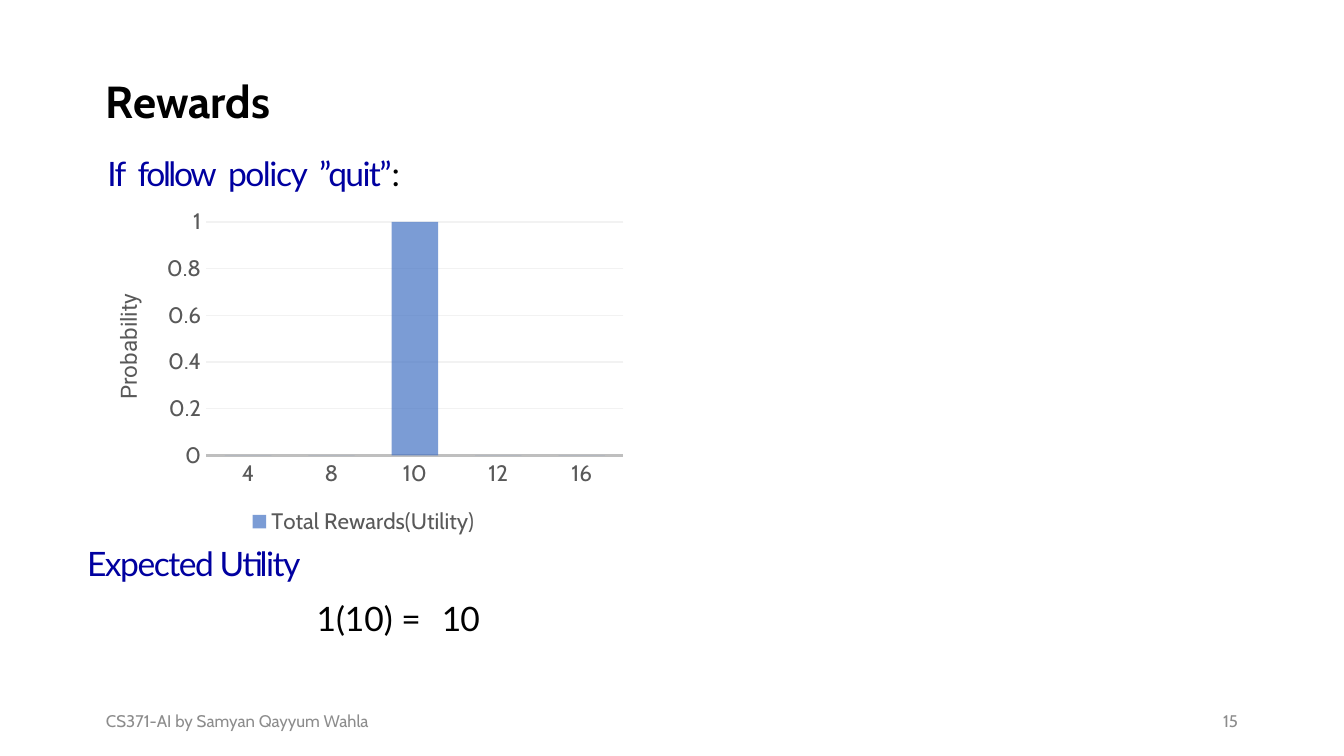
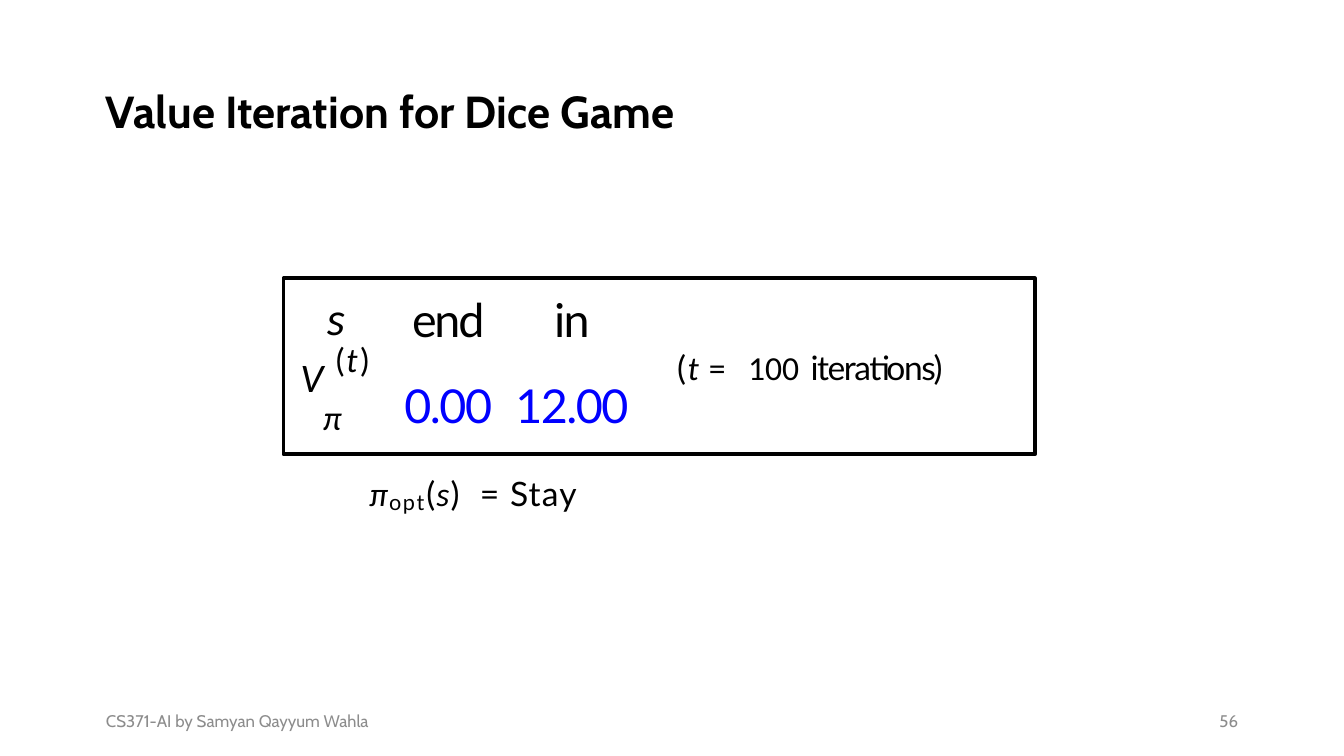
from lxml import etree
from pptx import Presentation
from pptx import util as u
from pptx.chart.data import CategoryChartData
from pptx.dml.color import RGBColor
from pptx.enum import chart as ch, text
from pptx.oxml import ns

BLACK = RGBColor(0, 0, 0)
NAVY = RGBColor(0, 0, 0xA0)
BLUE = RGBColor(0, 0, 0xFF)
GREY = RGBColor(0x8C, 0x8C, 0x8C)
LABEL = RGBColor(0x59, 0x59, 0x59)
AXIS = RGBColor(0xBF, 0xBF, 0xBF)
GRID = RGBColor(0xF2, 0xF2, 0xF2)
BAR = RGBColor(0x44, 0x72, 0xC4)
PLAIN = "{2D5ABB26-0587-4C30-8999-92F81FD0307C}"
LEFT, MID, RIGHT = text.PP_ALIGN.LEFT, text.PP_ALIGN.CENTER, text.PP_ALIGN.RIGHT
In = u.Inches


def write(para, runs, size, font="Lato", color=BLACK, align=LEFT, indent=0):
    para.alignment = align
    props = para._p.get_or_add_pPr()
    props.set("marL", str(In(indent)))
    props.set("indent", "0")
    for words, style in runs:
        run = para.add_run()
        run.text = words
        run.font.name = style.get("font", font)
        run.font.size = u.Pt(style.get("size", size))
        run.font.color.rgb = style.get("color", color)
        run.font.bold = style.get("bold", False)
        run.font.italic = style.get("italic", False)
        mark = run._r.get_or_add_rPr()
        mark.set("spc", str(round(style.get("gap", 0) * 100)))
        if "base" in style:
            mark.set("baseline", str(style["base"] * 1000))


def label(slide, x, y, w, h, runs, size, middle=False, **style):
    frame = slide.shapes.add_textbox(In(x), In(y), In(w), In(h)).text_frame
    frame.word_wrap = True
    if middle:
        frame.vertical_anchor = text.MSO_ANCHOR.MIDDLE
    else:
        frame.auto_size = text.MSO_AUTO_SIZE.SHAPE_TO_FIT_TEXT
    write(frame.paragraphs[0], runs, size, **style)
    return frame.paragraphs[0]


deck = Presentation()
deck.slide_width = In(10)
deck.slide_height = deck.slide_width * 9 // 16

pages = []
for title, top, number in [("Rewards", 0.23, "15"),
                           ("Value Iteration for Dice Game", 0.3, "56")]:
    page = deck.slides.add_slide(deck.slide_layouts[6])
    head = label(page, 0.69, top, 8.62, 1.09, [(title, {"bold": True})], 24,
                 middle=True, font="Cabin")
    head.line_spacing = 0.9
    for x, words, align in [(0.69, "CS371-AI by Samyan Qayyum Wahla", LEFT),
                            (7.06, number, RIGHT)]:
        label(page, x, 5.21, 2.25, 0.3, [(words, {})], 9, middle=True,
              font="Cabin", color=GREY, align=align)
    pages.append(page)
rewards, dice = pages

data = CategoryChartData()
data.categories = ["4", "8", "10", "12", "16"]
data.add_series("Total Rewards(Utility)", [0, 0, 1, 0, 0])
chart = rewards.shapes.add_chart(ch.XL_CHART_TYPE.COLUMN_CLUSTERED, In(0.69), In(1.5),
                                 In(4.03), In(2.52), data).chart
chart.has_title = False
chart.font.name, chart.font.size = "Cabin", u.Pt(12)
chart.font.color.rgb = LABEL
chart.has_legend = True
chart.legend.position = ch.XL_LEGEND_POSITION.BOTTOM
chart.legend.include_in_layout = False

plot = chart.plots[0]
plot.gap_width, plot.overlap, plot.vary_by_categories = 80, 25, False
fill = plot.series[0].format.fill
fill.solid()
fill.fore_color.rgb = BAR
tint = plot.series[0]._element.find(".//" + ns.qn("a:srgbClr"))
etree.SubElement(tint, ns.qn("a:alpha")).set("val", "70000")

cats, vals = chart.category_axis, chart.value_axis
for axis in (cats, vals):
    axis.major_tick_mark = axis.minor_tick_mark = ch.XL_TICK_MARK.NONE
    axis.tick_labels.font.name = "Cabin"
    axis.tick_labels.font.size = u.Pt(12)
    axis.tick_labels.font.color.rgb = LABEL
cats.format.line.color.rgb = AXIS
cats.format.line.width = u.Pt(1.25)
vals.format.line.fill.background()
vals.minimum_scale, vals.maximum_scale, vals.major_unit = 0, 1, 0.2
vals.major_gridlines.format.line.color.rgb = GRID
vals.major_gridlines.format.line.width = u.Pt(0.75)
write(vals.axis_title.text_frame.paragraphs[0], [("Probability", {})], 12,
      font="Roboto", color=LABEL)

edge = [("xMode", "edge"), ("yMode", "edge")]
area = chart._chartSpace.chart.plotArea
name = vals.axis_title._element
for part, spot, rules in [
        (area, 0, [("layoutTarget", "inner"), *edge,
                   ("x", "0.21"), ("y", "0.06"), ("w", "0.77"), ("h", "0.69")]),
        (name, 1, [*edge, ("x", "0.03"), ("y", "0.26")])]:
    old = part.find(ns.qn("c:layout"))
    if old is not None:
        part.remove(old)
    layout = etree.Element(ns.qn("c:layout"))
    manual = etree.SubElement(layout, ns.qn("c:manualLayout"))
    for tag, value in rules:
        etree.SubElement(manual, ns.qn("c:" + tag)).set("val", value)
    part.insert(spot, layout)

label(rewards, 0.69, 1.09, 5, 0.4,
      [("If", {"gap": -0.8}), (" ", {"gap": 1.4}), ("follow", {"gap": -1.3}),
       (" ", {"gap": 1.4}), ("policy", {"gap": -0.8}), (" ", {"gap": 1.4}),
       ("”quit”", {"gap": -0.9}), (":", {"gap": -0.9, "color": BLACK})],
      18, color=NAVY, indent=0.01)
label(rewards, 0.54, 3.99, 5, 0.4, [("Expected Utility", {"gap": -0.8})],
      18, color=NAVY, indent=0.01)
label(rewards, 0, 4.4, 3.67, 0.4,
      [("1(10) =", {}), (" ", {"gap": 6.6}), ("10", {"gap": -0.5})], 18, align=RIGHT)

build = dice.shapes.build_freeform(In(2.11), In(2.07))
build.add_line_segments([(In(2.11), In(3.38)), (In(7.7), In(3.38)), (In(7.7), In(2.07))])
frame = build.convert_to_shape()
frame.shadow.inherit = False
frame.fill.background()
frame.line.color.rgb = BLACK
frame.line.width = u.Pt(2)

grid = dice.shapes.add_table(2, 3, In(2.15), In(2.25), In(2.54), In(1.02)).table
grid.first_row = grid.horz_banding = False
grid._tbl.tblPr.find(ns.qn("a:tableStyleId")).text = PLAIN
for col, width in zip(grid.columns, (0.65, 0.95, 0.94)):
    col.width = In(width)
for row, height in zip(grid.rows, (0.5, 0.52)):
    row.height = In(height)
for cell in grid.iter_cells():
    cell.fill.background()
    cell.margin_left = cell.margin_right = cell.margin_top = cell.margin_bottom = 0

slant = {"font": "Calibri", "italic": True}
for i, (words, style, indent) in enumerate([("s", slant, 0.05), ("end", {"gap": -1.2}, 0.12),
                                            ("in", {"gap": -0.8}, 0.07)]):
    para = grid.cell(0, i).text_frame.paragraphs[0]
    para.line_spacing = u.Pt(24.2)
    write(para, [(words, style)], 25, align=MID, indent=indent)
for i, (words, indent) in enumerate([("0.00", 0.12), ("12.00", 0.07)], 1):
    cell = grid.cell(1, i)
    cell.margin_top = In(0.06)
    para = cell.text_frame.paragraphs[0]
    para.space_before = u.Pt(4.6)
    write(para, [(words, {"gap": -0.8})], 25, color=BLUE, align=MID, indent=indent)

body = grid.cell(1, 0).text_frame
upper, lower = body.paragraphs[0], body.add_paragraph()
upper.line_spacing, lower.line_spacing = u.Pt(18.3), u.Pt(17.8)
write(upper, [("V ", {**slant, "size": 37.5, "gap": 0.9, "base": -29}), ("(", {"gap": 1.1}),
              ("t", {"gap": 1.1, "italic": True}), (")", {"gap": 1.1})],
      17.5, align=MID, indent=0.03)
write(lower, [("π", {"italic": True})], 17.5, align=MID)

label(dice, 4.94, 2.53, 2.99, 0.4,
      [("(", {"gap": 0.7}), ("t ", {**slant, "gap": 0.7}),
       ("=", {"font": "Calibri", "gap": 0.7}), (" ", {"font": "Calibri", "gap": 7.2}),
       ("100", {"font": "Calibri"}), (" ", {"font": "Calibri", "gap": 2}),
       ("iterations)", {"gap": -0.8})], 18)
label(dice, 2.62, 3.44, 5, 0.4,
      [("π", {**slant, "gap": 0.6}), ("opt", {"size": 20, "gap": 0.9, "base": -12}),
       ("(", {"gap": 0.6}), ("s", {**slant, "gap": 0.6}), (")  = Stay", {"gap": 0.6})],
      18, indent=0.03)

deck.save("out.pptx")
